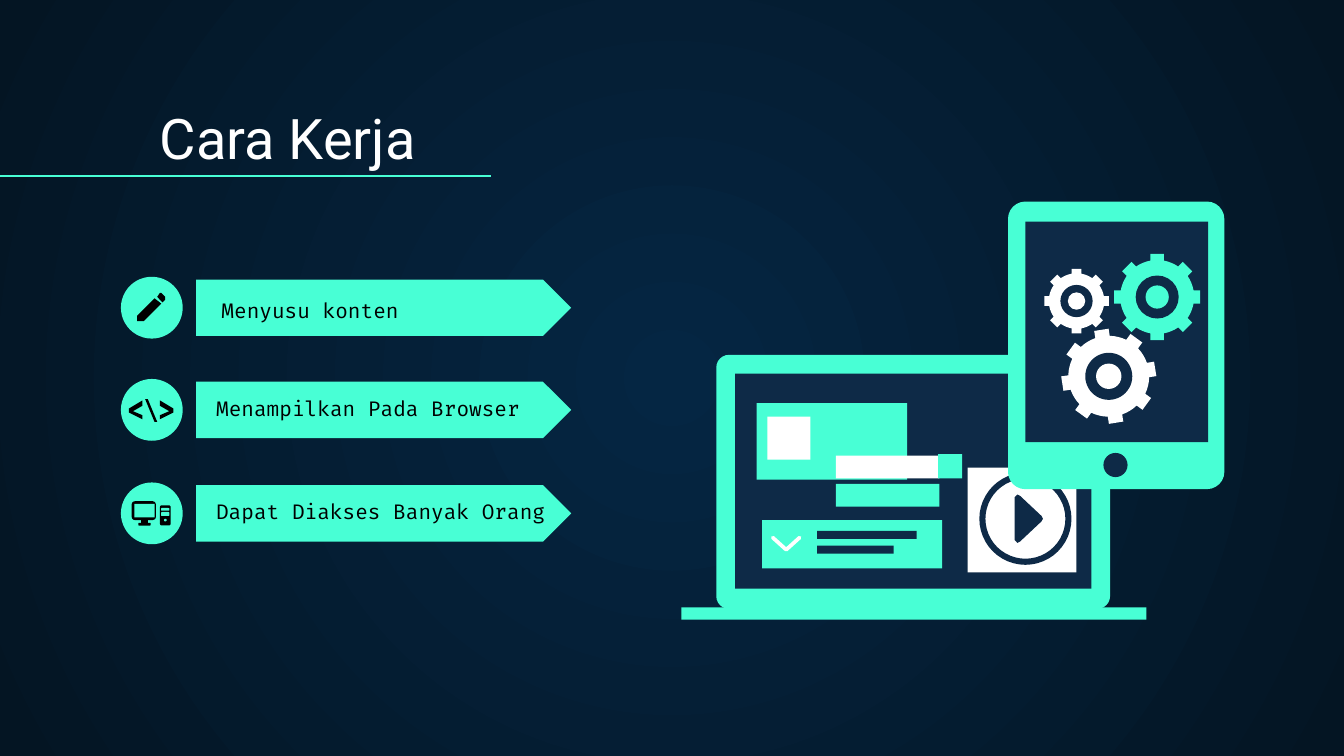
from math import asin, cos, pi, radians, sin
from lxml.etree import SubElement
from pptx import Presentation
from pptx.dml.color import RGBColor
from pptx.enum.shapes import MSO_CONNECTOR, MSO_SHAPE
from pptx.enum.text import MSO_ANCHOR
from pptx.oxml.ns import qn
from pptx.util import Inches, Pt

MINT = RGBColor(0x48, 0xFF, 0xD5)
NAVY = RGBColor(0x0E, 0x2A, 0x47)
WHITE = RGBColor(0xFF, 0xFF, 0xFF)
BLACK = RGBColor(0, 0, 0)
GLOW = RGBColor(0x05, 0x26, 0x43)
DUSK = RGBColor(0x04, 0x15, 0x23)
RECT = MSO_SHAPE.RECTANGLE
ROUND = MSO_SHAPE.ROUNDED_RECTANGLE
OVAL = MSO_SHAPE.OVAL


def paint(shape, color):
    shape.shadow.inherit = False
    shape.fill.solid()
    shape.fill.fore_color.rgb = color
    shape.line.fill.background()
    return shape


def put(shapes, kind, x, y, w, h, color, adj=None):
    shape = shapes.add_shape(kind, Inches(x), Inches(y), Inches(w), Inches(h))
    if adj is not None:
        shape.adjustments[0] = adj
    return paint(shape, color)


def disc(shapes, x, y, r, color):
    return put(shapes, OVAL, x - r, y - r, 2 * r, 2 * r, color)


def trace(shapes, x, y, points, color, close=True):
    spots = [(Inches(x + px), Inches(y + py)) for px, py in points]
    pen = shapes.build_freeform(*spots[0])
    pen.add_line_segments(spots[1:], close=close)
    return paint(pen.convert_to_shape(), color)


def write(shapes, x, y, w, h, text, font, size, color):
    frame = shapes.add_textbox(Inches(x), Inches(y), Inches(w), Inches(h)).text_frame
    frame.word_wrap = True
    frame.vertical_anchor = MSO_ANCHOR.BOTTOM
    frame.margin_left = frame.margin_right = Inches(0.1)
    frame.margin_top = frame.margin_bottom = Inches(0.1)
    frame.text = text
    face = frame.paragraphs[0].runs[0].font
    face.name, face.size, face.color.rgb = font, Pt(size), color


def backdrop(slide):
    fill = slide.background.fill
    fill.gradient()
    for stop, color in zip(fill.gradient_stops, (GLOW, DUSK)):
        stop.color.rgb = color
    lin = next(slide.element.iter(qn("a:lin")))
    grad = lin.getparent()
    grad.remove(lin)
    shade = SubElement(grad, qn("a:path"), {"path": "circle"})
    SubElement(shade, qn("a:fillToRect"), {side: "50000" for side in "ltrb"})


def header(shapes, x, y):
    write(shapes, x + 1.09, y, 8.57, 0.67, "Cara Kerja", "Roboto", 30, WHITE)
    rule = shapes.add_connector(MSO_CONNECTOR.STRAIGHT, Inches(x), Inches(y + 0.61),
                                Inches(x + 3.65), Inches(y + 0.61))
    rule.line.color.rgb = MINT
    rule.line.width = Pt(0.75)
    SubElement(rule.element.spPr, qn("a:effectLst"))


def pencil(shapes, x, y):
    trace(shapes, x, y, [(0.25, 0.16), (0.12, 0.29), (0.12, 0.33), (0.17, 0.33),
                         (0.3, 0.2)], BLACK)
    trace(shapes, x, y, [(0.27, 0.15), (0.29, 0.12), (0.3, 0.12), (0.33, 0.15),
                         (0.33, 0.17), (0.31, 0.19)], BLACK)


def code(shapes, x, y):
    angle = [(0.16, 0.3), (0.06, 0.25), (0.06, 0.22), (0.16, 0.16),
             (0.16, 0.2), (0.09, 0.24), (0.16, 0.27)]
    trace(shapes, x, y, angle, BLACK)
    trace(shapes, x, y, [(0.45 - px, py) for px, py in angle], BLACK)
    trace(shapes, x, y, [(0.25, 0.32), (0.18, 0.15), (0.2, 0.15), (0.27, 0.32)], BLACK)


def desktop(shapes, x, y):
    for kind, px, py, w, h, color in (
            (ROUND, 0.08, 0.14, 0.18, 0.14, BLACK), (RECT, 0.1, 0.16, 0.15, 0.1, MINT),
            (RECT, 0.15, 0.28, 0.05, 0.03, BLACK), (ROUND, 0.13, 0.3, 0.09, 0.02, BLACK),
            (ROUND, 0.29, 0.17, 0.08, 0.15, BLACK), (ROUND, 0.3, 0.19, 0.06, 0.02, MINT),
            (ROUND, 0.3, 0.22, 0.06, 0.03, MINT), (OVAL, 0.32, 0.27, 0.02, 0.02, MINT)):
        put(shapes, kind, x + px, y + py, w, h, color)


def step(shapes, x, y, icon, text, left, top, width):
    put(shapes, MSO_SHAPE.PENTAGON, x + 0.56, y + 0.02, 2.79, 0.42, MINT, 0.5)
    put(shapes, OVAL, x, y, 0.46, 0.46, MINT)
    icon(shapes, x, y)
    write(shapes, x + left, y + top, width, 0.21, text, "Fira Code", 11, BLACK)


def player(shapes, x, y):
    put(shapes, RECT, x, y, 0.81, 0.78, WHITE)
    ring = disc(shapes, x + 0.43, y + 0.38, 0.32, WHITE)
    ring.line.color.rgb = NAVY
    ring.line.width = Pt(3.25)
    trace(shapes, x, y, [(0.35, 0.22), (0.37, 0.2), (0.39, 0.21), (0.55, 0.36),
                         (0.56, 0.38), (0.55, 0.4), (0.39, 0.55), (0.37, 0.56),
                         (0.35, 0.54)], NAVY)


def laptop(shapes, x, y):
    put(shapes, ROUND, x + 0.26, y, 2.93, 1.89, MINT, 0.05)
    for px, py, w, h, color in (
            (0.4, 0.14, 2.65, 1.6, NAVY), (0, 1.88, 3.46, 0.09, MINT),
            (0.56, 0.36, 1.12, 0.57, MINT), (0.64, 0.46, 0.32, 0.32, WHITE),
            (0.6, 1.23, 1.34, 0.36, MINT), (1.01, 1.31, 0.74, 0.06, NAVY),
            (1.01, 1.42, 0.57, 0.06, NAVY), (1.15, 0.96, 0.77, 0.17, MINT),
            (1.15, 0.75, 0.77, 0.17, WHITE), (1.91, 0.74, 0.18, 0.18, MINT)):
        put(shapes, RECT, x + px, y + py, w, h, color)
    tick = trace(shapes, x, y, [(0.68, 1.36), (0.78, 1.45), (0.88, 1.36)], WHITE, False)
    tick.fill.background()
    tick.line.color.rgb = WHITE
    tick.line.width = Pt(2)
    tick.element.spPr.find(qn("a:ln")).set("cap", "rnd")
    player(shapes, x + 2.13, y + 0.84)


def gear(shapes, x, y, r, color, tilt=0):
    body, half, teeth = 0.86 * r, 0.155 * r, 8
    edge = asin(half / body)
    gap = 2 * pi / teeth
    points = []
    for tooth in range(teeth):
        turn = tooth * gap + radians(tilt)
        for px, py in ((r, -half), (r, half)):
            points.append((px * cos(turn) - py * sin(turn), px * sin(turn) + py * cos(turn)))
        for part in range(5):
            arc = turn + edge + (gap - 2 * edge) * part / 4
            points.append((body * cos(arc), body * sin(arc)))
    trace(shapes, x, y, points, color)
    disc(shapes, x, y, 0.5 * r, NAVY)
    disc(shapes, x, y, 0.27 * r, color)


def tablet(shapes, x, y):
    put(shapes, ROUND, x, y, 1.61, 2.14, MINT, 0.08)
    put(shapes, RECT, x + 0.13, y + 0.15, 1.36, 1.64, NAVY)
    disc(shapes, x + 0.8, y + 1.96, 0.09, NAVY)
    gear(shapes, x + 1.11, y + 0.71, 0.32, MINT)
    gear(shapes, x + 0.51, y + 0.74, 0.24, WHITE)
    gear(shapes, x + 0.75, y + 1.3, 0.35, WHITE, -9)


def main():
    deck = Presentation()
    deck.slide_width = Inches(10)
    deck.slide_height = deck.slide_width * 9 // 16
    slide = deck.slides.add_slide(deck.slide_layouts[6])
    shapes = slide.shapes
    backdrop(slide)
    header(shapes, 0, 0.7)
    step(shapes, 0.9, 2.06, pencil, "Menyusu konten", 0.65, 0.22, 2.27)
    step(shapes, 0.9, 2.82, code, "Menampilkan Pada Browser", 0.61, 0.19, 2.55)
    step(shapes, 0.9, 3.59, desktop, "Dapat Diakses Banyak Orang", 0.61, 0.19, 2.74)
    laptop(shapes, 5.07, 2.64)
    tablet(shapes, 7.5, 1.5)
    deck.save("out.pptx")


if __name__ == "__main__":
    main()
